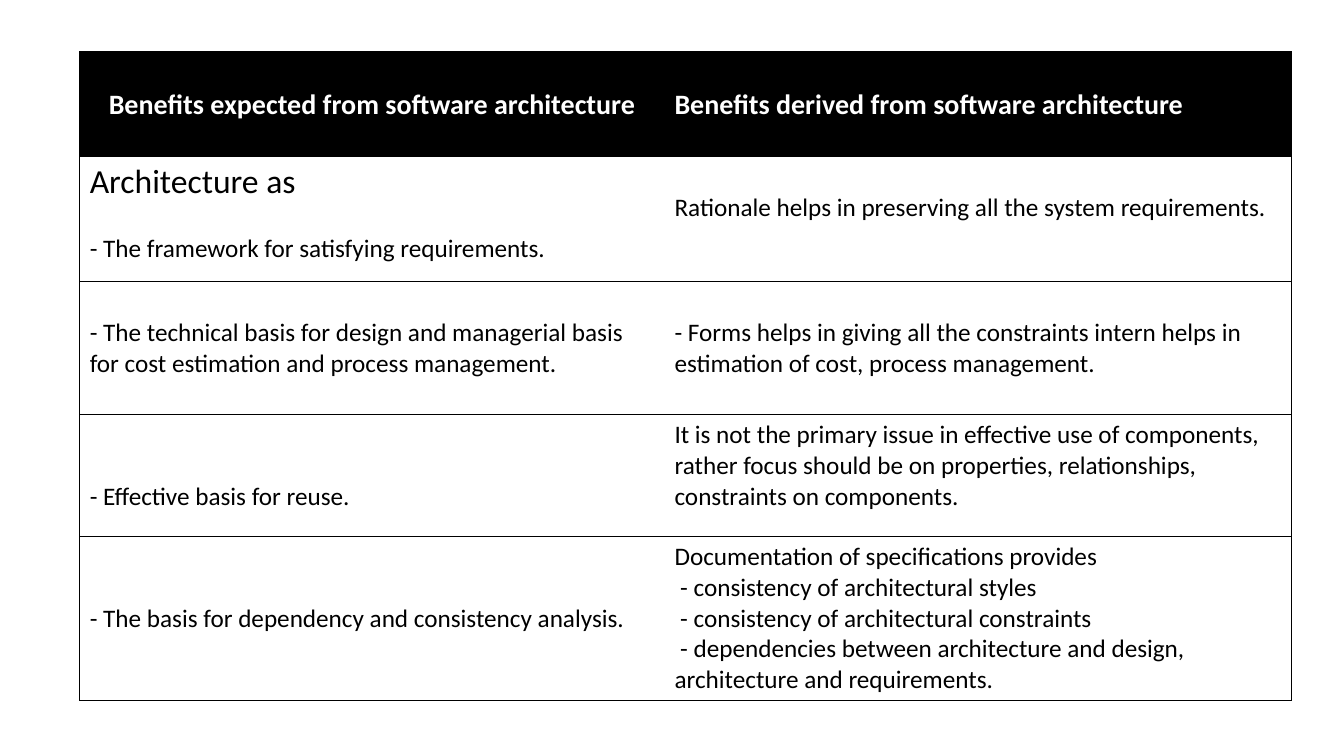
from dataclasses import dataclass
from typing import Optional

from lxml.etree import SubElement as Sub
from pptx import Presentation
from pptx.dml.color import RGBColor as Rgb
from pptx.enum.text import MSO_ANCHOR as Anchor, PP_ALIGN as Align
from pptx.oxml.ns import qn
from pptx.table import _Cell as Cell
from pptx.util import Inches, Pt

WIDE, HIGH = Inches(13.33), Inches(7.5)
LEFT, TOP = 5.93, 6.85
COLS = [43.51, 46.66]
ROWS = [13.87, 16.53, 17.6, 16.13, 21.7]
BLACK, WHITE = "000000", "FFFFFF"
PAD, LINE = 0.05, 0.305


@dataclass
class Entry:
    lines: list[str]
    drop: int = 0
    first: int = 18
    gap: int = 0


GRID = [
    [
        Entry(["Benefits expected from software architecture"], 1, 20),
        Entry(["Benefits derived from software architecture"], 1, 20),
    ],
    [
        Entry(["Architecture as", "- The framework for satisfying requirements."], 0, 24, 22),
        Entry(["Rationale helps in preserving all the system requirements."], 1),
    ],
    [
        Entry(["- The technical basis for design and managerial basis "
               "for cost estimation and process management."], 1),
        Entry(["- Forms helps in giving all the constraints intern helps in "
               "estimation of cost, process management."], 1),
    ],
    [
        Entry(["- Effective basis for reuse."], 2),
        Entry(["It is not the primary issue in effective use of components, rather focus "
               "should be on properties, relationships, constraints on components."]),
    ],
    [
        Entry(["- The basis for dependency and consistency analysis."], 2),
        Entry([
            "Documentation of specifications provides",
            " - consistency of architectural styles",
            " - consistency of architectural constraints",
            " - dependencies between architecture and design, architecture and requirements.",
        ]),
    ],
]


def tint(code: str) -> Rgb:
    return Rgb.from_string(code)


def across(share: float) -> int:
    return round(WIDE * share / 100)


def down(share: float) -> int:
    return round(HIGH * share / 100)


def edge(cell: Cell, side: str, code: Optional[str]) -> None:
    line = Sub(cell._tc.get_or_add_tcPr(), qn(f"a:ln{side}"), w=str(Pt(0.5)))
    if code is None:
        Sub(line, qn("a:noFill"))
    else:
        Sub(Sub(line, qn("a:solidFill")), qn("a:srgbClr"), val=code)


def draw(cell: Cell, entry: Entry, row: int, col: int) -> None:
    head = row == 0
    edge(cell, "L", BLACK if col == 0 else None)
    edge(cell, "R", BLACK if col == len(COLS) - 1 else None)
    edge(cell, "T", BLACK)
    edge(cell, "B", BLACK)
    cell.fill.solid()
    cell.fill.fore_color.rgb = tint(BLACK if head else WHITE)
    cell.vertical_anchor = Anchor.TOP
    cell.margin_top = Inches(PAD + LINE * entry.drop)
    cell.text_frame.text = "\n".join(entry.lines)
    for spot, para in enumerate(cell.text_frame.paragraphs):
        para.alignment = Align.CENTER if head and col == 0 else Align.LEFT
        if spot:
            para.space_before = Pt(entry.gap)
        for run in para.runs:
            run.font.name = "Calibri"
            run.font.size = Pt(18 if spot else entry.first)
            run.font.bold = head
            run.font.color.rgb = tint(WHITE if head else BLACK)


def main() -> None:
    deck = Presentation()
    deck.slide_width, deck.slide_height = WIDE, HIGH
    slide = deck.slides.add_slide(deck.slide_layouts[6])
    table = slide.shapes.add_table(
        len(ROWS), len(COLS), across(LEFT), down(TOP), across(sum(COLS)), down(sum(ROWS))
    ).table
    table.first_row = table.horz_banding = False
    for col, share in enumerate(COLS):
        table.columns[col].width = across(share)
    for row, share in enumerate(ROWS):
        table.rows[row].height = down(share)
        for col, entry in enumerate(GRID[row]):
            draw(table.cell(row, col), entry, row, col)
    deck.save("out.pptx")


if __name__ == "__main__":
    main()
